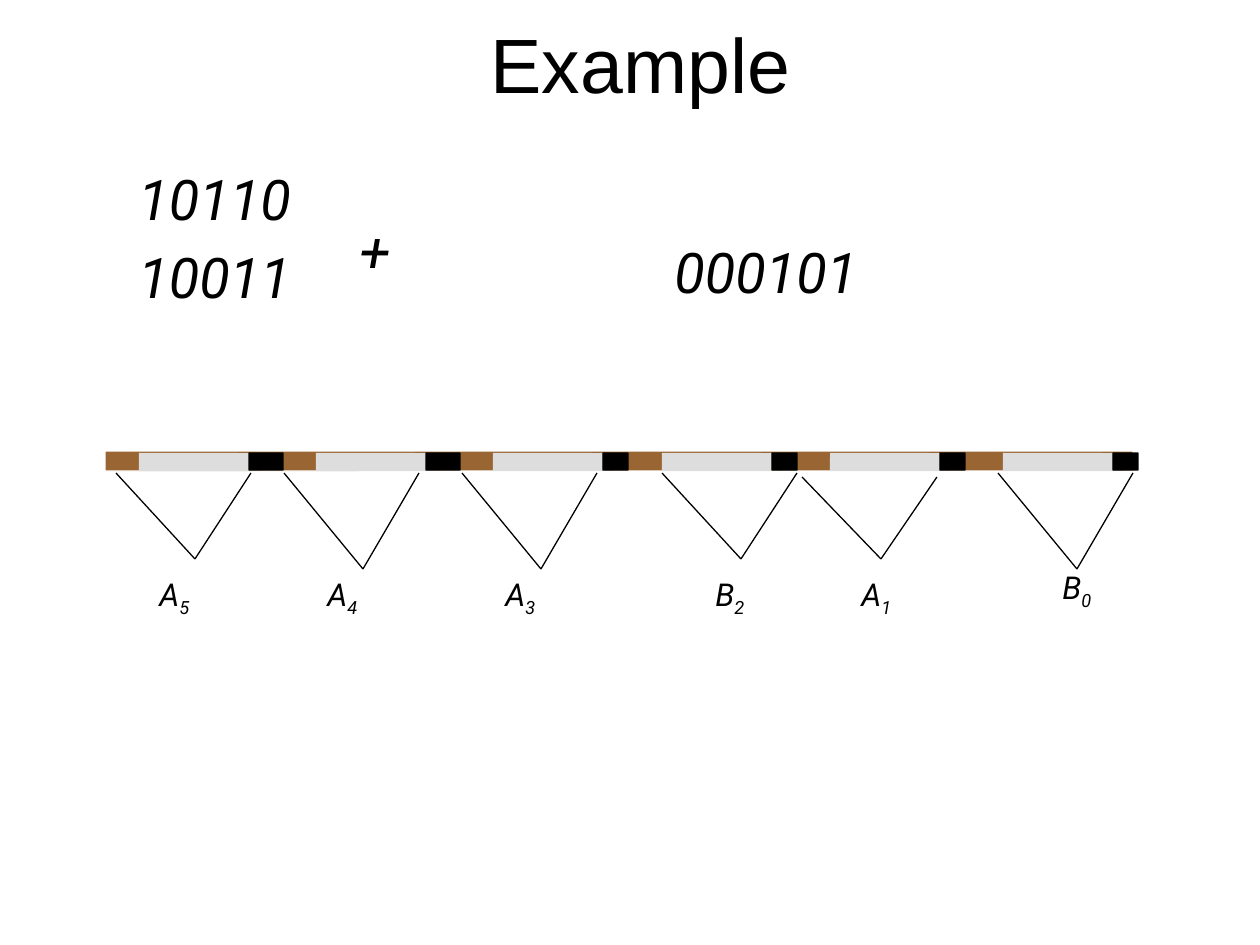
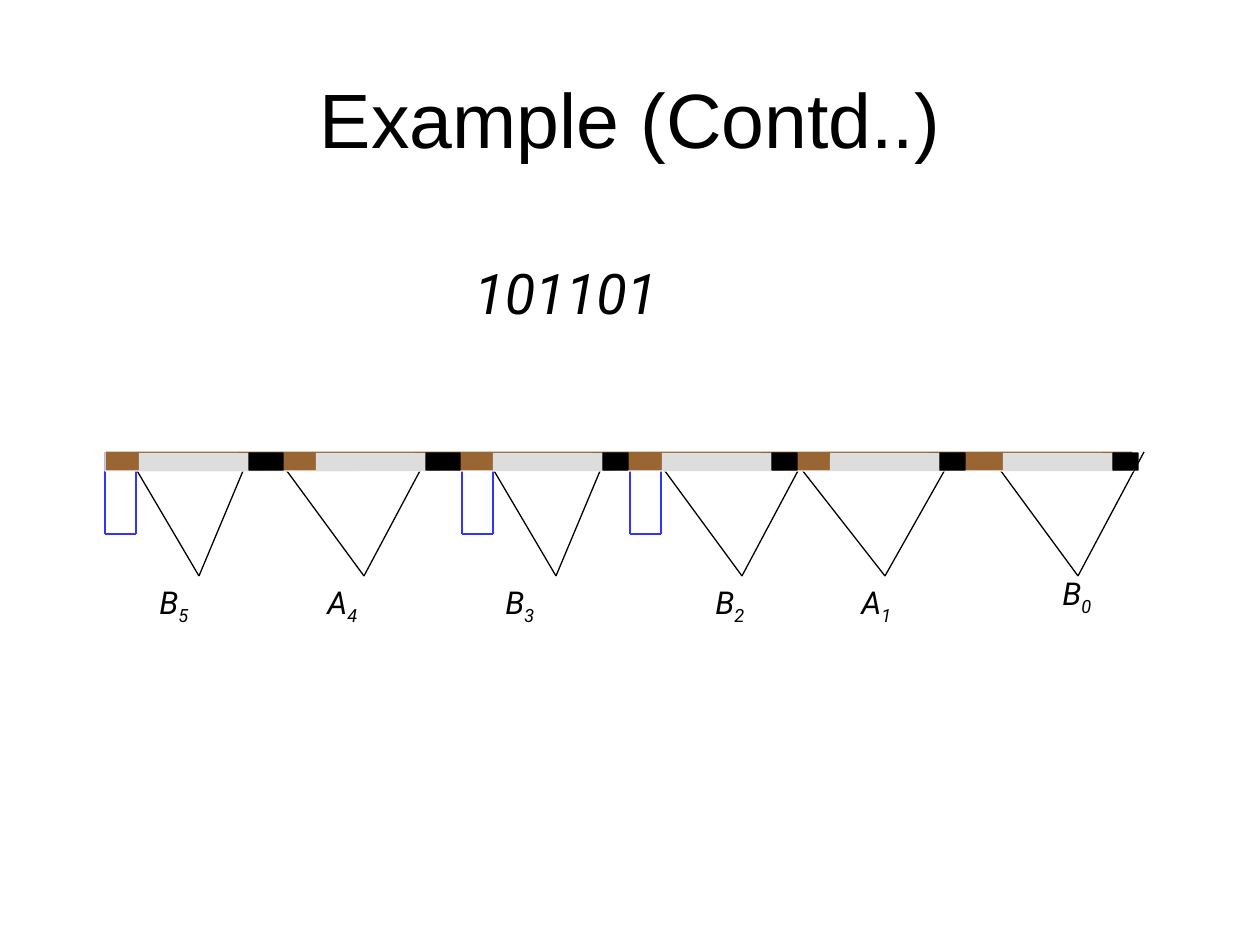
from itertools import pairwise

from lxml.etree import SubElement
from pptx import Presentation
from pptx.dml.color import RGBColor
from pptx.enum.shapes import MSO_CONNECTOR, MSO_SHAPE
from pptx.enum.text import MSO_ANCHOR, MSO_AUTO_SIZE, PP_ALIGN
from pptx.oxml.ns import qn
from pptx.util import Emu, Pt

COLORS = {
    "ink": "000000",
    "brown": "996633",
    "grey": "DDDDDD",
    "white": "FFFFFF",
    "blue": "3333FF",
}
SCALE = 914400 / 126
TITLE = {"size": 44, "font": "Arial", "italic": False, "centered": True}
LABEL = {"size": 18, "spacing": 0.65, "before": 11.2}
NUMBER = {"size": 32, "spacing": 0.65, "before": 20}


def add_text(slide, text, box, size, font="Roboto", italic=True, centered=False,
             spacing=None, before=None, subscript=""):
    frame = slide.shapes.add_textbox(*[Emu(round(px * SCALE)) for px in box]).text_frame
    frame.word_wrap = True
    if centered:
        frame.vertical_anchor = MSO_ANCHOR.MIDDLE
    else:
        frame.auto_size = MSO_AUTO_SIZE.SHAPE_TO_FIT_TEXT
    for index, line in enumerate(text.split("\n")):
        paragraph = frame.add_paragraph() if index else frame.paragraphs[0]
        paragraph.alignment = PP_ALIGN.CENTER if centered else PP_ALIGN.LEFT
        if spacing:
            paragraph.line_spacing = spacing
            paragraph.space_before = Pt(before)
        for content in filter(None, (line, subscript)):
            run = paragraph.add_run()
            run.text = content
            run.font.size = Pt(size)
            run.font.name = font
            run.font.italic = italic
            run.font.color.rgb = RGBColor.from_string(COLORS["ink"])
        if subscript:
            run._r.get_or_add_rPr().set("baseline", "-25000")


def add_path(slide, points, color):
    for start, end in pairwise(points):
        ends = [Emu(round(px * SCALE)) for px in (*start, *end)]
        line = slide.shapes.add_connector(MSO_CONNECTOR.STRAIGHT, *ends)
        line.line.color.rgb = RGBColor.from_string(COLORS[color])
        line.line.width = Pt(0.75)
        SubElement(line._element.spPr, qn("a:effectLst"))


label_lefts = [147, 315, 493, 703, 849, 1050]
segment_lefts = [139, 316, 493, 662, 830, 1003]
marker_widths = [34, 34, 25, 25, 25, 25]
strip_parts = [(105, 451, 1028, 20, "brown", "white")]
for left, marker_width in zip(segment_lefts, marker_widths):
    strip_parts.append((left, 453, 110, 18, "grey", None))
    strip_parts.append((left + 110, 453, marker_width, 17, "ink", "ink"))

pages = [
    {
        "title": ("Example", (126, 0, 1029, 126)),
        "numbers": [
            ("000101", (662, 252, 483, 57)),
            ("10110\n10011", (126, 179, 199, 135)),
            ("+", (347, 231, 95, 57)),
        ],
        "labels": ["A5", "A4", "A3", "B2", "A1", "B0"],
        "label_tops": [578] * 5 + [571],
        "wedges": [
            (left, left + 79, left + 135, top, tip)
            for left, top, tip in [
                (116, 473, 559), (284, 473, 569), (462, 473, 569),
                (662, 473, 559), (802, 477, 559), (998, 473, 569),
            ]
        ],
        "brackets": [],
    },
    {
        "title": ("Example (Contd..)", (63, 38, 1135, 159)),
        "numbers": [("101101", (462, 273, 662, 57))],
        "labels": ["B5", "A4", "B3", "B2", "A1", "B0"],
        "label_tops": [586] * 5 + [577],
        "wedges": [
            (left, middle, right, 452, 576)
            for left, middle, right in [
                (126, 199, 251), (273, 364, 430), (483, 556, 608),
                (651, 742, 808), (788, 885, 955), (987, 1078, 1144),
            ]
        ],
        "brackets": [105, 462, 630],
    },
]

deck = Presentation()
deck.slide_width = Emu(round(1260 * SCALE))
deck.slide_height = Emu(round(945 * SCALE))

for page in pages:
    slide = deck.slides.add_slide(deck.slide_layouts[6])
    add_text(slide, *page["title"], **TITLE)

    for left, middle, right, top, tip in page["wedges"]:
        add_path(slide, [(left, top), (middle, tip), (right, top)], "ink")
    for left in page["brackets"]:
        right = left + 31
        add_path(slide, [(left, 452), (left, 534), (right, 534), (right, 452)], "blue")

    for label, left, top in zip(page["labels"], label_lefts, page["label_tops"]):
        add_text(slide, label[0], (left, top, 95, 40), subscript=label[1], **LABEL)
    for number, box in page["numbers"]:
        add_text(slide, number, box, **NUMBER)

    for *box, fill, outline in strip_parts:
        part = slide.shapes.add_shape(
            MSO_SHAPE.ROUNDED_RECTANGLE, *[Emu(round(px * SCALE)) for px in box])
        part.adjustments[0] = 0.01
        part.shadow.inherit = False
        part.fill.solid()
        part.fill.fore_color.rgb = RGBColor.from_string(COLORS[fill])
        if outline:
            part.line.color.rgb = RGBColor.from_string(COLORS[outline])
            part.line.width = Pt(0.75)
        else:
            part.line.fill.background()

deck.save("out.pptx")
